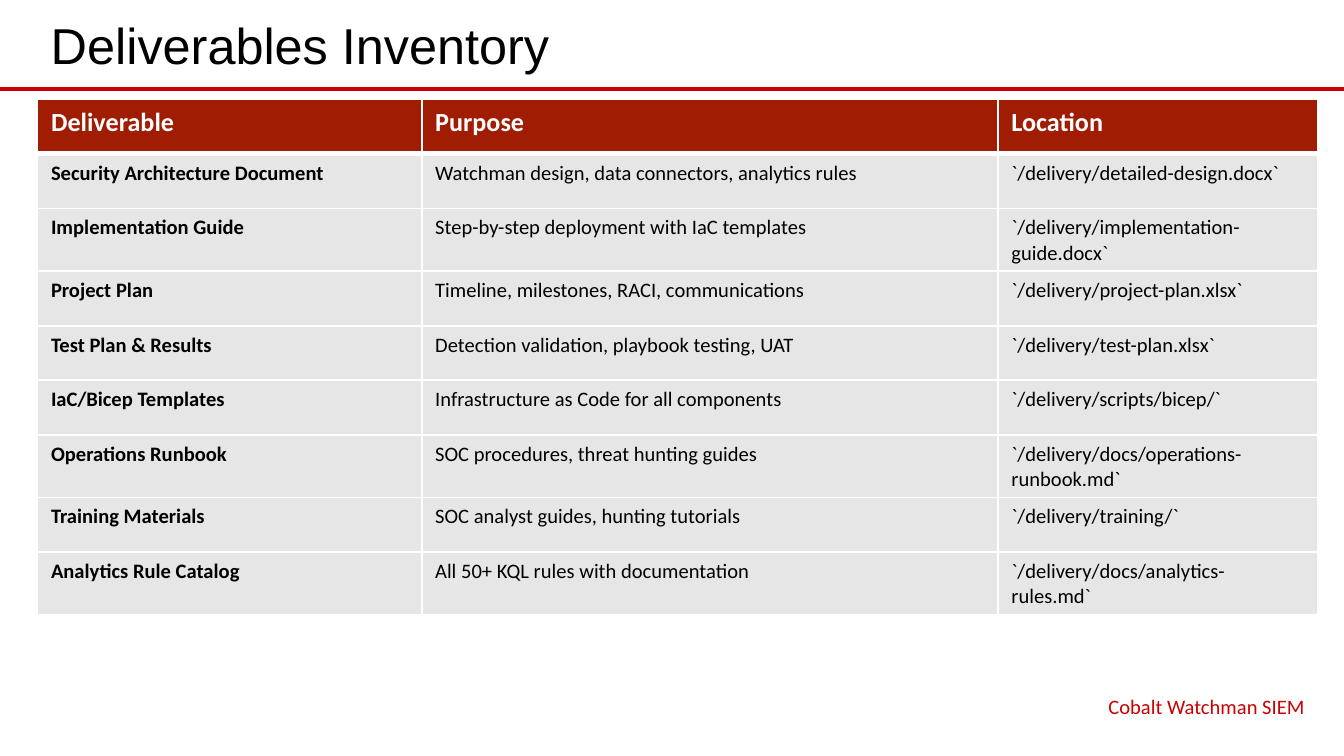
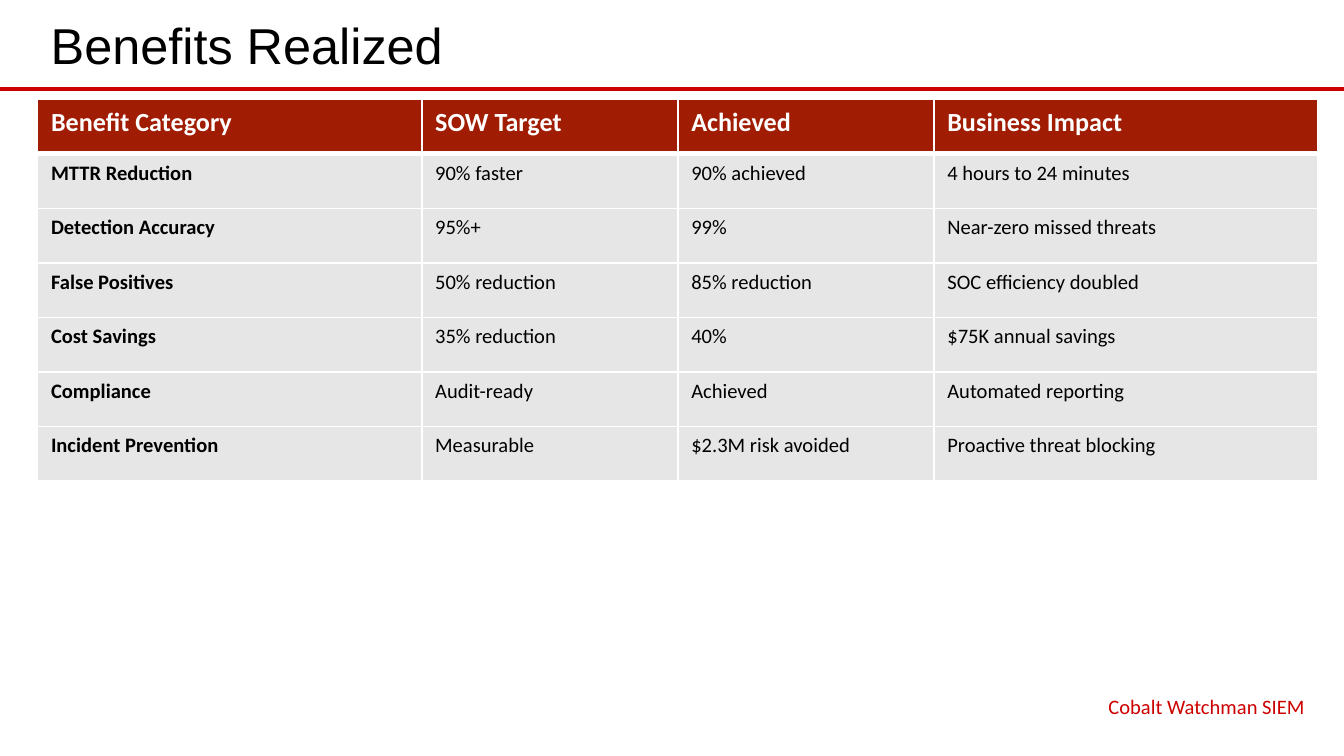
from lxml import etree
from pptx import Presentation
from pptx.dml.color import RGBColor
from pptx.enum.shapes import MSO_CONNECTOR
from pptx.enum.text import MSO_ANCHOR, PP_ALIGN
from pptx.oxml.ns import qn
from pptx.util import Cm, Pt

STRAIGHT = MSO_CONNECTOR.STRAIGHT
TOP, MIDDLE = MSO_ANCHOR.TOP, MSO_ANCHOR.MIDDLE
LEFT, RIGHT = PP_ALIGN.LEFT, PP_ALIGN.RIGHT

RED, BRICK, GREY = "CC0000", "A01C02", "E7E6E6"
BLACK, WHITE = "000000", "FFFFFF"
TITLE_FONT, BODY_FONT = "Arial", "Calibri"

PAGE_WIDTH, PAGE_HEIGHT = 25.4, 14.29
MARGIN, CONTENT_WIDTH = 0.71, 24.2
RULE_TOP, TABLE_TOP, ROW_HEIGHT = 1.68, 1.88, 1.03
FOOTER_WIDTH = 8.94

FOOTER = "Cobalt Watchman SIEM"
PAGES = [
    {
        "title": "Deliverables Inventory",
        "shares": (0.3, 0.45, 0.25),
        "rows": [
            ("Deliverable", "Purpose", "Location"),
            ("Security Architecture Document", "Watchman design, data connectors, analytics rules",
             "`/delivery/detailed-design.docx`"),
            ("Implementation Guide", "Step-by-step deployment with IaC templates",
             "`/delivery/implementation-guide.docx`"),
            ("Project Plan", "Timeline, milestones, RACI, communications",
             "`/delivery/project-plan.xlsx`"),
            ("Test Plan & Results", "Detection validation, playbook testing, UAT",
             "`/delivery/test-plan.xlsx`"),
            ("IaC/Bicep Templates", "Infrastructure as Code for all components",
             "`/delivery/scripts/bicep/`"),
            ("Operations Runbook", "SOC procedures, threat hunting guides",
             "`/delivery/docs/operations-runbook.md`"),
            ("Training Materials", "SOC analyst guides, hunting tutorials",
             "`/delivery/training/`"),
            ("Analytics Rule Catalog", "All 50+ KQL rules with documentation",
             "`/delivery/docs/analytics-rules.md`"),
        ],
    },
    {
        "title": "Benefits Realized",
        "shares": (0.3, 0.2, 0.2, 0.3),
        "rows": [
            ("Benefit Category", "SOW Target", "Achieved", "Business Impact"),
            ("MTTR Reduction", "90% faster", "90% achieved", "4 hours to 24 minutes"),
            ("Detection Accuracy", "95%+", "99%", "Near-zero missed threats"),
            ("False Positives", "50% reduction", "85% reduction", "SOC efficiency doubled"),
            ("Cost Savings", "35% reduction", "40%", "$75K annual savings"),
            ("Compliance", "Audit-ready", "Achieved", "Automated reporting"),
            ("Incident Prevention", "Measurable", "$2.3M risk avoided", "Proactive threat blocking"),
        ],
    },
]


def color(value):
    return RGBColor.from_string(value)


def write(frame, text, font, size, ink, bold=False, align=LEFT):
    frame.text = text
    para = frame.paragraphs[0]
    para.alignment = align
    for span in para.runs:
        span.font.name, span.font.size, span.font.bold = font, Pt(size), bold
        span.font.color.rgb = color(ink)


def add_text(page, left, top, width, height, anchor, *style, align=LEFT):
    box = page.shapes.add_textbox(Cm(left), Cm(top), Cm(width), Cm(height))
    box.text_frame.word_wrap = True
    box.text_frame.vertical_anchor = anchor
    write(box.text_frame, *style, align=align)


def add_rule(page):
    rule = page.shapes.add_connector(STRAIGHT, 0, Cm(RULE_TOP), Cm(PAGE_WIDTH), Cm(RULE_TOP))
    rule.line.color.rgb = color(RED)
    rule.line.width = Pt(2.25)
    etree.SubElement(rule._element.spPr, qn("a:effectLst"))


def set_borders(cell, top, bottom):
    """Draw white cell borders; top and bottom are widths in points."""
    properties = cell._tc.get_or_add_tcPr()
    for side, width in (("L", 1), ("R", 1), ("T", top), ("B", bottom)):
        line = etree.SubElement(properties, qn(f"a:ln{side}"), w=str(Pt(width)))
        fill = etree.SubElement(line, qn("a:solidFill"))
        etree.SubElement(fill, qn("a:srgbClr"), val=WHITE)


def add_grid(page, rows, shares):
    grid = page.shapes.add_table(
        len(rows), len(shares), Cm(MARGIN), Cm(TABLE_TOP),
        Cm(CONTENT_WIDTH), Cm(ROW_HEIGHT * len(rows))).table
    grid.horz_banding = False
    for column, share in zip(grid.columns, shares):
        column.width = Cm(CONTENT_WIDTH * share)
    for r, row in enumerate(rows):
        grid.rows[r].height = Cm(ROW_HEIGHT)
        header = r == 0
        for c, text in enumerate(row):
            cell = grid.cell(r, c)
            set_borders(cell, top=3 if r == 1 else 1, bottom=3 if header else 1)
            cell.fill.solid()
            cell.fill.fore_color.rgb = color(BRICK if header else GREY)
            write(cell.text_frame, text, BODY_FONT, 14 if header else 11,
                  WHITE if header else BLACK, bold=header or c == 0)


def add_page(deck, title, shares, rows):
    page = deck.slides.add_slide(deck.slide_layouts[6])
    page.background.fill.solid()
    page.background.fill.fore_color.rgb = color(WHITE)
    add_rule(page)
    add_text(page, MARGIN, 0.1, CONTENT_WIDTH, 1.47, MIDDLE, title, TITLE_FONT, 27, BLACK)
    add_grid(page, rows, shares)
    add_text(page, MARGIN + CONTENT_WIDTH - FOOTER_WIDTH, 13, FOOTER_WIDTH, 0.66, TOP,
             FOOTER, BODY_FONT, 11, RED, align=RIGHT)


def main():
    deck = Presentation()
    deck.slide_width, deck.slide_height = Cm(PAGE_WIDTH), Cm(PAGE_HEIGHT)
    for content in PAGES:
        add_page(deck, **content)
    deck.save("out.pptx")


if __name__ == "__main__":
    main()
